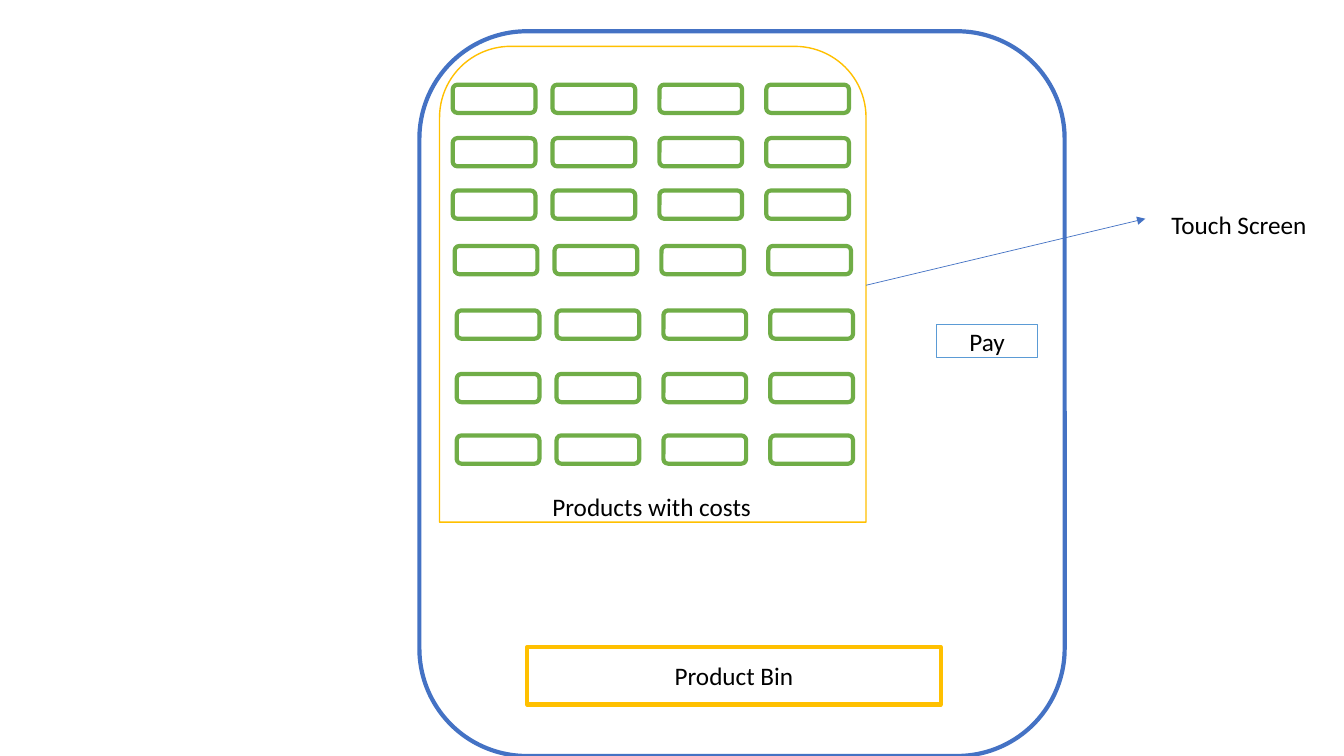
import pptx
import pptx.util
import pptx.dml.color
import pptx.enum.shapes
import pptx.enum.text
import lxml.etree
import pptx.oxml.ns

Inches = pptx.util.Inches
Pt = pptx.util.Pt
RGBColor = pptx.dml.color.RGBColor
SHAPE = pptx.enum.shapes.MSO_SHAPE
ALIGN = pptx.enum.text.PP_ALIGN

WHITE = RGBColor(0xFF, 0xFF, 0xFF)
BLACK = RGBColor(0, 0, 0)
BLUE = RGBColor(0x44, 0x72, 0xC4)
LIGHT_BLUE = RGBColor(0x5B, 0x9B, 0xD5)
GOLD = RGBColor(0xFF, 0xC0, 0x00)
GREEN = RGBColor(0x70, 0xAD, 0x47)

deck = pptx.Presentation()
deck.slide_width = Inches(13.33)
deck.slide_height = Inches(7.5)
page = deck.slides.add_slide(deck.slide_layouts[6])


def write_text(box, text, align):
    box.text_frame.word_wrap = True
    para = box.text_frame.paragraphs[0]
    para.text = text
    para.alignment = align
    para.font.name = "Calibri"
    para.font.size = Pt(18)
    para.font.color.rgb = BLACK


def add_panel(kind, left, top, width, height, color, weight):
    panel = page.shapes.add_shape(
        kind, Inches(left), Inches(top), Inches(width), Inches(height))
    panel.shadow.inherit = False
    panel.fill.solid()
    panel.fill.fore_color.rgb = WHITE
    panel.line.color.rgb = color
    panel.line.width = Pt(weight)
    return panel


add_panel(SHAPE.ROUNDED_RECTANGLE, 4.16, 0.31, 6.4, 7.19, BLUE, 3)
add_panel(SHAPE.ROUND_2_SAME_RECTANGLE, 4.36, 0.46, 4.23, 4.72, GOLD, 1)

product_bin = add_panel(SHAPE.RECTANGLE, 5.23, 6.42, 4.1, 0.57, GOLD, 3)
pay_button = add_panel(SHAPE.RECTANGLE, 9.29, 3.22, 1, 0.33, LIGHT_BLUE, 1)
for box, text in ((product_bin, "Product Bin"), (pay_button, "Pay")):
    box.text_frame.vertical_anchor = pptx.enum.text.MSO_ANCHOR.MIDDLE
    write_text(box, text, ALIGN.CENTER)

product_columns = (4.49, 5.48, 6.54, 7.6)
product_rows = ((0.84, 0), (1.37, 0), (1.89, 0), (2.44, 0.02),
                (3.08, 0.04), (3.71, 0.04), (4.32, 0.04))
for top, shift in product_rows:
    for left in product_columns:
        add_panel(SHAPE.ROUNDED_RECTANGLE, left + shift, top, 0.82, 0.28, GREEN, 3)

arrow = page.shapes.add_connector(
    pptx.enum.shapes.MSO_CONNECTOR.STRAIGHT,
    Inches(8.59), Inches(2.83), Inches(11.36), Inches(2.17))
arrow.line.color.rgb = BLUE
arrow.line.width = Pt(0.5)
arrow_line = arrow.line._get_or_add_ln()
lxml.etree.SubElement(arrow_line, pptx.oxml.ns.qn("a:tailEnd"), type="triangle")
lxml.etree.SubElement(arrow_line.getparent(), pptx.oxml.ns.qn("a:effectLst"))

for text, left, top, width in (("Touch Screen", 11.52, 2.03, 1.67),
                               ("Products with costs", 5.38, 4.83, 2.91)):
    label = page.shapes.add_textbox(
        Inches(left), Inches(top), Inches(width), Inches(0.4))
    label.text_frame.auto_size = pptx.enum.text.MSO_AUTO_SIZE.SHAPE_TO_FIT_TEXT
    write_text(label, text, ALIGN.LEFT)

deck.save("out.pptx")
